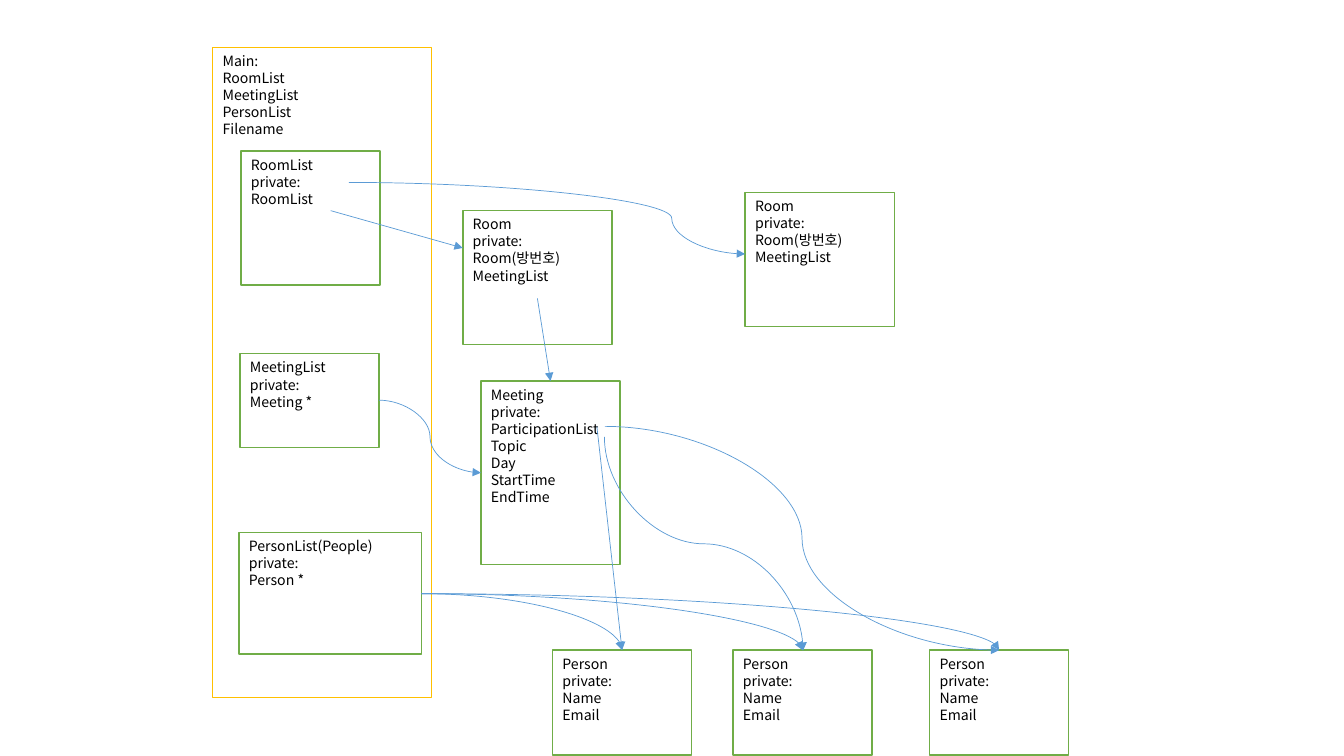
from lxml import etree
from pptx import Presentation
from pptx import util as u
from pptx.dml.color import RGBColor
from pptx.enum import shapes, text
from pptx.oxml.ns import qn

GOLD, GREEN, BLUE = "FFC000", "70AD47", "5B9BD5"


def paint(target, color):
    target.solid()
    target.fore_color.rgb = RGBColor.from_string(color)


def link(kind, x1, y1, x2, y2):
    line = slide.shapes.add_connector(kind, *map(u.Inches, (x1, y1, x2, y2)))
    paint(line.line.fill, BLUE)
    line.line.width = u.Pt(0.5)
    props = line._element.spPr
    etree.SubElement(props.find(qn("a:ln")), qn("a:tailEnd"), type="triangle")
    etree.SubElement(props, qn("a:effectLst"))
    return props


deck = Presentation()
deck.slide_width, deck.slide_height = u.Inches(13.33), u.Inches(7.5)
slide = deck.slides.add_slide(deck.slide_layouts[6])

room = ["Room", "private:", "Room(방번호)", "MeetingList"]
person = ["Person", "private:", "Name", "Email"]
meeting = ["Meeting", "private:", "ParticipationList", "Topic", "Day", "StartTime", "EndTime"]
people = [5.48, 7.27, 9.22]

boxes = [
    (2.11, 0.47, 2.17, 6.45, GOLD, ["Main:", "RoomList", "MeetingList", "PersonList", "Filename"]),
    (2.39, 1.5, 1.38, 1.33, GREEN, ["RoomList", "private:", "RoomList"]),
    (2.38, 3.51, 1.38, 0.93, GREEN, ["MeetingList", "private:", "Meeting *"]),
    (2.37, 5.28, 1.81, 1.21, GREEN, ["PersonList(People)", "private:", "Person *"]),
    (4.59, 2.09, 1.48, 1.33, GREEN, room),
    (7.39, 1.91, 1.48, 1.33, GREEN, room),
    (4.77, 3.78, 1.38, 1.82, GREEN, meeting),
]
boxes += [(x, 6.45, 1.38, 1.04, GREEN, person) for x in people]

for x, y, w, h, color, rows in boxes:
    box = slide.shapes.add_shape(shapes.MSO_SHAPE.RECTANGLE, *map(u.Inches, (x, y, w, h)))
    box.shadow.inherit = False
    paint(box.fill, "FFFFFF")
    paint(box.line.fill, color)
    box.line.width = u.Pt(1)
    frame = box.text_frame
    frame.word_wrap = True
    frame.vertical_anchor = text.MSO_ANCHOR.TOP
    for i, row in enumerate(rows):
        para = frame.add_paragraph() if i else frame.paragraphs[0]
        para.alignment = text.PP_ALIGN.LEFT
        para.line_spacing = u.Pt(12.2)
        run = para.add_run()
        run.text = row
        font = run.font
        font.size = u.Pt(10.1)
        font.name = "Noto Sans CJK KR"
        paint(font.fill, "000000")
        etree.SubElement(run._r.get_or_add_rPr(), qn("a:ea"), typeface="Noto Sans CJK KR")

straight = shapes.MSO_CONNECTOR.STRAIGHT
curve = shapes.MSO_CONNECTOR.CURVE

for ends in [(3.28, 2.09, 4.59, 2.46), (5.33, 2.96, 5.46, 3.78), (5.92, 4.23, 6.17, 6.45)]:
    link(straight, *ends)

for ends in [(3.76, 3.97, 4.77, 4.69), (6, 4.23, 9.91, 6.45)]:
    link(curve, *ends)

far = link(curve, 3.46, 1.81, 7.39, 2.52).find(qn("a:prstGeom"))
etree.SubElement(far.find(qn("a:avLst")), qn("a:gd"), name="adj1", fmla="val 81500")

turned = link(curve, 8.04, 4.41, 5.92, 6.38).find(qn("a:xfrm"))
turned.set("rot", str(270 * 60000))

for x in people:
    bend = link(curve, 4.18, 5.89, x + 0.69, 6.45)
    bend.find(qn("a:prstGeom")).set("prst", "curvedConnector2")

deck.save("out.pptx")
